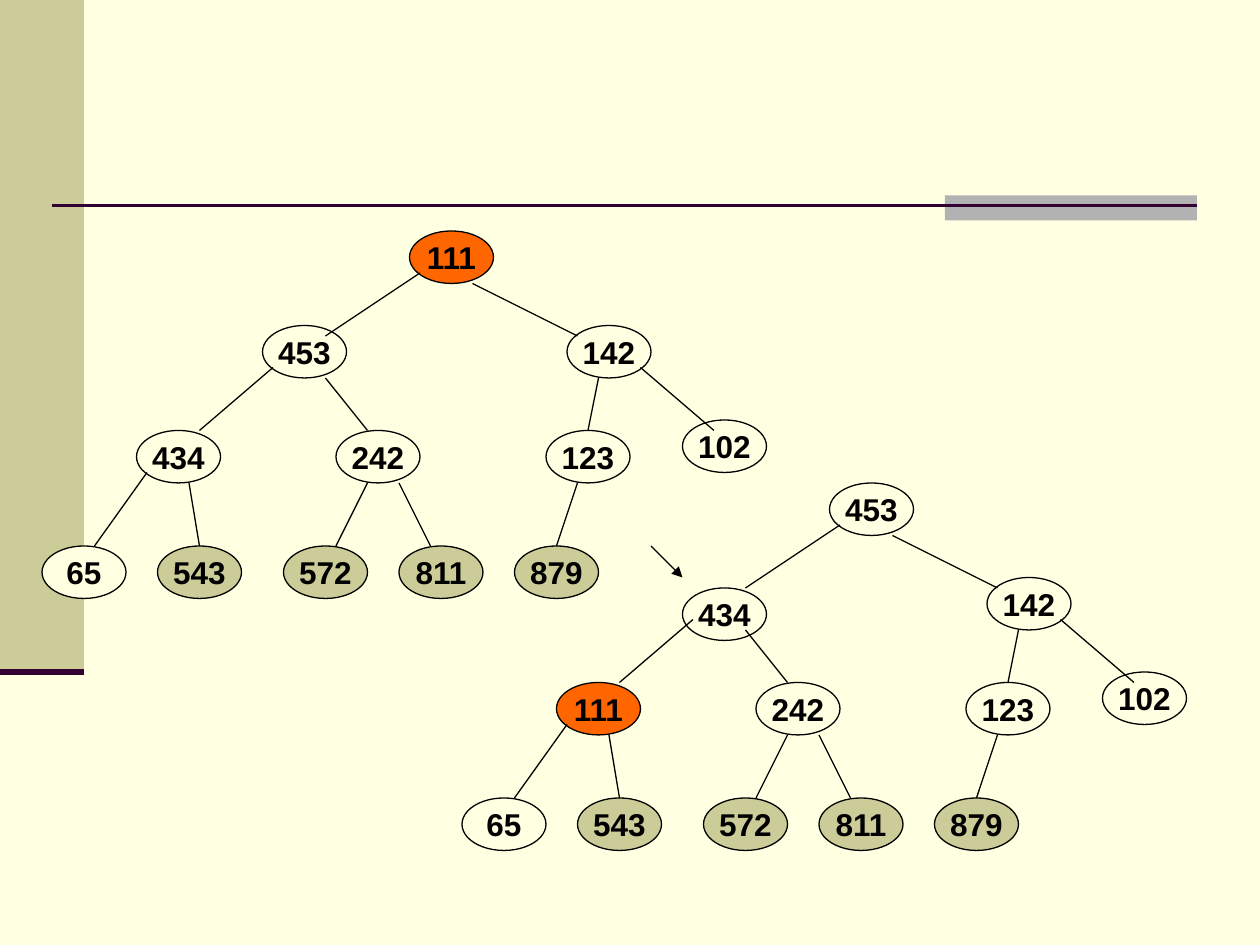
from lxml.etree import SubElement
from pptx import Presentation
from pptx.dml.color import RGBColor
from pptx.enum.shapes import MSO_CONNECTOR as CONN, MSO_SHAPE as SHAPE
from pptx.enum.text import MSO_ANCHOR as ANCHOR, PP_ALIGN as ALIGN
from pptx.oxml.ns import qn
from pptx.util import Pt

CREAM, OLIVE, ORANGE = "FFFFE1", "CCCC99", "FF6600"
GREY, PURPLE, BLACK = "B2B2B2", "330033", "000000"
NODE_W, NODE_H = 48, 30

# Heap slots in level order: left, top
SLOTS = [
    (234, 132),
    (150, 186), (324, 186),
    (78, 246), (192, 246), (312, 246), (390, 240),
    (24, 312), (90, 312), (162, 312), (228, 312), (294, 312),
]
# Edges in level order: parent end, child end
EDGES = [
    ((240, 156), (186, 192)), ((270, 162), (330, 192)),
    ((156, 210), (114, 246)), ((186, 216), (210, 246)),
    ((342, 216), (336, 246)), ((366, 210), (408, 246)),
    ((84, 270), (54, 312)), ((108, 276), (114, 312)),
    ((210, 276), (192, 312)), ((228, 276), (246, 312)),
    ((330, 276), (318, 312)),
]
# Each heap: offset, values in level order, extra drop of single slots
HEAPS = [
    ((0, 0), [111, 453, 142, 434, 242, 123, 102, 65, 543, 572, 811, 879], {}),
    ((240, 144), [453, 434, 142, 111, 242, 123, 102, 65, 543, 572, 811, 879],
     {1: 6}),
]
SIFTED = 111
SORTED = {543, 572, 811, 879}


def rgb(color):
    return RGBColor.from_string(color)


def add_shape(kind, x, y, w, h, fill):
    sp = s.shapes.add_shape(kind, Pt(x), Pt(y), Pt(w), Pt(h))
    sp.shadow.inherit = False
    sp.fill.solid()
    sp.fill.fore_color.rgb = rgb(fill)
    sp.line.fill.background()
    return sp


def add_line(start, end, color=BLACK, width=0.75, arrow=False):
    line = s.shapes.add_connector(CONN.STRAIGHT, *map(Pt, start + end))
    line.line.color.rgb = rgb(color)
    line.line.width = Pt(width)
    if arrow:
        SubElement(line.line._get_or_add_ln(), qn("a:tailEnd"), type="triangle")
    SubElement(line._element.spPr, qn("a:effectLst"))


def add_node(value, x, y):
    fill = ORANGE if value == SIFTED else OLIVE if value in SORTED else CREAM
    sp = add_shape(SHAPE.OVAL, x, y, NODE_W, NODE_H, fill)
    sp.line.color.rgb = rgb(BLACK)
    sp.line.width = Pt(0.75)
    tf = sp.text_frame
    tf.word_wrap = False
    tf.vertical_anchor = ANCHOR.MIDDLE
    tf.text = str(value)
    p = tf.paragraphs[0]
    p.alignment = ALIGN.CENTER
    font = p.runs[0].font
    font.name, font.size, font.bold = "Arial", Pt(18), True
    font.color.rgb = rgb(BLACK)


prs = Presentation()
prs.slide_width, prs.slide_height = Pt(720), Pt(540)
s = prs.slides.add_slide(prs.slide_layouts[6])
s.background.fill.solid()
s.background.fill.fore_color.rgb = rgb(CREAM)

# Side band and title rule
add_shape(SHAPE.RECTANGLE, 0, 0, 48, 384, OLIVE)
add_shape(SHAPE.RECTANGLE, 540, 111.6, 144, 14.4, GREY)
add_line((30, 117.5), (684, 117.5), PURPLE, 1.5)
add_line((0, 384), (48, 384), PURPLE, 3.5)

# Heaps before and after sifting down
for (dx, dy), values, drops in HEAPS:
    for i, (value, (x, y)) in enumerate(zip(values, SLOTS)):
        add_node(value, x + dx, y + dy + drops.get(i, 0))
    for (x1, y1), (x2, y2) in EDGES:
        add_line((x1 + dx, y1 + dy), (x2 + dx, y2 + dy))

# Arrow from the first heap to the second
add_line((372, 312), (390, 330), arrow=True)

prs.save("out.pptx")
